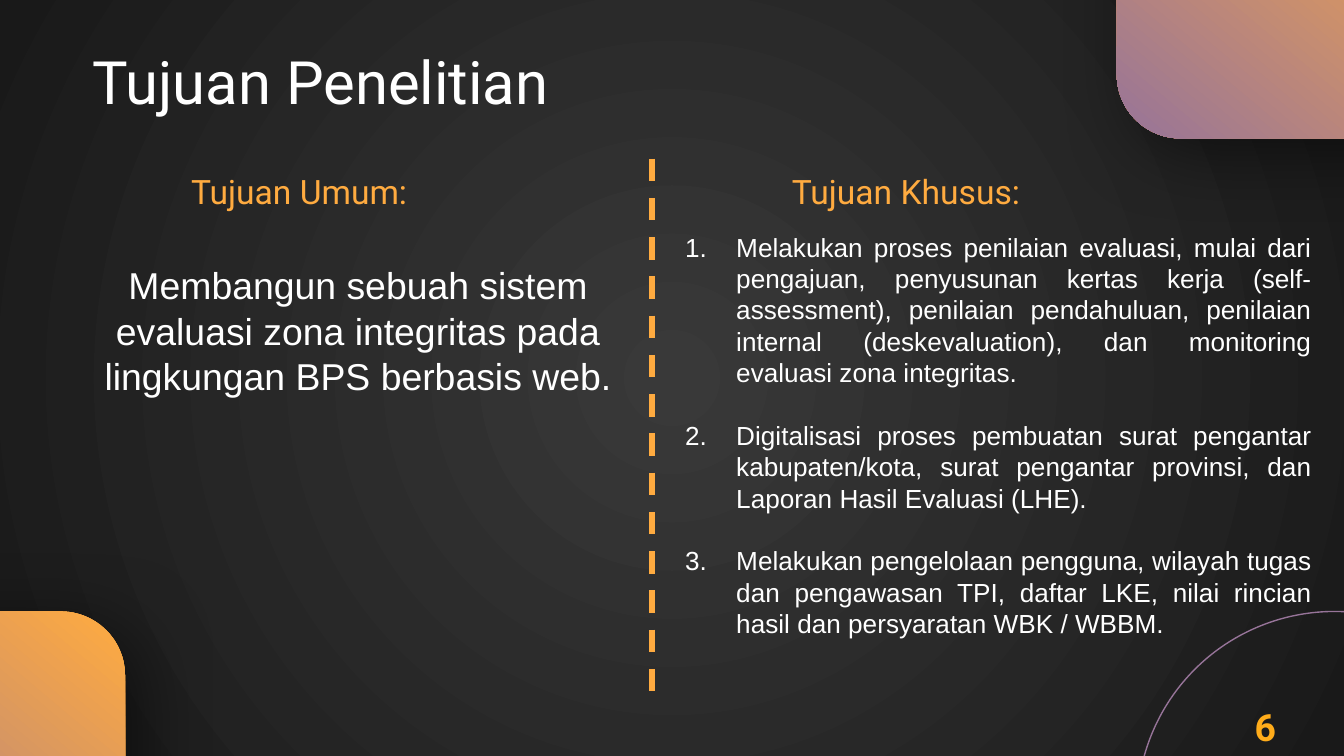
"""Build the research objectives slide."""
from dataclasses import dataclass

from lxml.etree import SubElement
from pptx import Presentation
from pptx.dml.color import RGBColor
from pptx.enum.dml import MSO_LINE
from pptx.enum.shapes import MSO_CONNECTOR, MSO_SHAPE
from pptx.enum.text import MSO_ANCHOR, PP_ALIGN
from pptx.oxml.ns import qn
from pptx.util import Inches, Pt

COLORS = {
    "text": "FFFFFF",
    "accent": "FFAB40",
    "number": "FFAC1A",
    "mauve": "977499",
    "center": "393939",
    "edge": "191919",
    "shadow": "000000",
}


@dataclass(frozen=True)
class Box:
    left: float
    top: float
    width: float
    height: float

    def lengths(self) -> list:
        return [Inches(v) for v in (self.left, self.top, self.width, self.height)]


@dataclass(frozen=True)
class Style:
    size: int
    font: str
    color: str
    align: PP_ALIGN
    bold: bool = False
    spacing: float = 1.0


@dataclass(frozen=True)
class Label:
    text: str
    box: Box
    style: Style
    inset: float = 0


TITLE = Style(32, "Roboto", "text", PP_ALIGN.LEFT)
HEADING = Style(18, "Roboto", "accent", PP_ALIGN.RIGHT)
BODY = Style(20, "Arial", "text", PP_ALIGN.CENTER, spacing=1.01)
GOAL = Style(14, "Arial", "text", PP_ALIGN.JUSTIFY)
NUMBER = Style(20, "Roboto", "number", PP_ALIGN.CENTER, bold=True)

CORNERS = [Box(-1.71, 4.55, 2.64, 2.27), Box(8.31, -1.24, 2.64, 2.27)]
LABELS = [
    Label("Tujuan Umum:", Box(0.41, 1.27, 2.62, 0.33), HEADING),
    Label("Tujuan Khusus:", Box(4.97, 1.27, 2.62, 0.33), HEADING),
    Label("Membangun sebuah sistem evaluasi zona integritas pada lingkungan BPS "
          "berbasis web.", Box(0.69, 1.95, 3.95, 2.15), BODY),
    Label("6", Box(8.83, 5.19, 1.17, 0.44), NUMBER, inset=0.05),
]
GOALS = [
    "Melakukan proses penilaian evaluasi, mulai dari pengajuan, penyusunan kertas "
    "kerja (self-assessment), penilaian pendahuluan, penilaian internal "
    "(deskevaluation), dan monitoring evaluasi zona integritas.",
    "Digitalisasi proses pembuatan surat pengantar kabupaten/kota, surat pengantar "
    "provinsi, dan Laporan Hasil Evaluasi (LHE).",
    "Melakukan pengelolaan pengguna, wilayah tugas dan pengawasan TPI, daftar LKE, "
    "nilai rincian hasil dan persyaratan WBK / WBBM.",
]


def rgb(name: str) -> RGBColor:
    return RGBColor.from_string(COLORS[name])


def set_gradient(fill, start: str, end: str) -> None:
    fill.gradient()
    for stop, name in zip(fill.gradient_stops, (start, end)):
        stop.color.rgb = rgb(name)


def set_background(s) -> None:
    set_gradient(s.background.fill, "center", "edge")
    grad = s.element.find(".//" + qn("a:gradFill"))
    grad.remove(grad.find(qn("a:lin")))
    focus = SubElement(grad, qn("a:path"), path="circle")
    SubElement(focus, qn("a:fillToRect"), l="50000", t="50000", r="50000", b="50000")


def style_paragraph(p, style: Style) -> None:
    p.alignment = style.align
    p.line_spacing = style.spacing
    p.font.size = Pt(style.size)
    p.font.name = style.font
    p.font.bold = style.bold
    p.font.color.rgb = rgb(style.color)


def prepare_frame(sp, inset: float):
    tf = sp.text_frame
    tf.word_wrap = True
    tf.vertical_anchor = MSO_ANCHOR.TOP
    tf.margin_left = tf.margin_right = Inches(inset * 2)
    tf.margin_top = tf.margin_bottom = Inches(inset)
    return tf


def add_label(s, label: Label) -> None:
    sp = s.shapes.add_textbox(*label.box.lengths())
    p = prepare_frame(sp, label.inset).paragraphs[0]
    p.text = label.text
    style_paragraph(p, label.style)


def add_title(s, text: str, box: Box) -> None:
    sp = s.shapes.title
    sp.left, sp.top, sp.width, sp.height = box.lengths()
    p = prepare_frame(sp, 0).paragraphs[0]
    p.text = text
    style_paragraph(p, TITLE)


def add_goals(s, goals: list[str], box: Box) -> None:
    tf = prepare_frame(s.shapes.add_textbox(*box.lengths()), 0.05)
    for i, goal in enumerate(goals):
        p = tf.add_paragraph() if i else tf.paragraphs[0]
        p.text = goal
        if i:
            p.space_before = Pt(16.8)
        pr = p._p.get_or_add_pPr()
        pr.set("marL", str(Inches(0.38)))
        pr.set("indent", str(-Inches(0.38)))
        color = SubElement(pr, qn("a:buClr"))
        SubElement(color, qn("a:srgbClr"), val=COLORS["text"])
        SubElement(pr, qn("a:buFont"), typeface="Arial")
        SubElement(pr, qn("a:buAutoNum"), type="arabicPeriod")
        style_paragraph(p, GOAL)


def add_corner(s, box: Box) -> None:
    sp = s.shapes.add_shape(MSO_SHAPE.ROUNDED_RECTANGLE, *box.lengths())
    sp.adjustments[0] = 0.21
    set_gradient(sp.fill, "accent", "mauve")
    sp.fill.gradient_angle = 230
    sp.line.fill.background()
    sp.shadow.inherit = False
    effects = sp.element.spPr.find(qn("a:effectLst"))
    shadow = SubElement(effects, qn("a:outerShdw"), blurRad=str(Pt(39.4)),
                        dist=str(Pt(11.2)), dir=str(40 * 60000), rotWithShape="0")
    color = SubElement(shadow, qn("a:srgbClr"), val=COLORS["shadow"])
    SubElement(color, qn("a:alpha"), val="50000")


def add_ring(s, box: Box) -> None:
    sp = s.shapes.add_shape(MSO_SHAPE.OVAL, *box.lengths())
    sp.fill.background()
    sp.line.color.rgb = rgb("mauve")
    sp.line.width = Pt(0.75)
    sp.shadow.inherit = False


def add_divider(s, x: float, top: float, bottom: float) -> None:
    line = s.shapes.add_connector(MSO_CONNECTOR.STRAIGHT, Inches(x), Inches(top),
                                  Inches(x), Inches(bottom))
    line.line.color.rgb = rgb("accent")
    line.line.width = Pt(3)
    line.line.dash_style = MSO_LINE.DASH
    SubElement(line.element.spPr, qn("a:effectLst"))


def main() -> None:
    prs = Presentation()
    prs.slide_width = Inches(10)
    prs.slide_height = prs.slide_width * 9 // 16
    s = prs.slides.add_slide(prs.slide_layouts[5])
    set_background(s)
    add_title(s, "Tujuan Penelitian", Box(0.69, 0.33, 8.44, 0.63))
    for box in CORNERS:
        add_corner(s, box)
    add_ring(s, Box(8.46, 4.55, 2.94, 2.94))
    add_divider(s, 4.85, 1.18, 5.19)
    for label in LABELS:
        add_label(s, label)
    add_goals(s, GOALS, Box(5, 1.67, 4.86, 3.4))
    prs.save("out.pptx")


if __name__ == "__main__":
    main()
